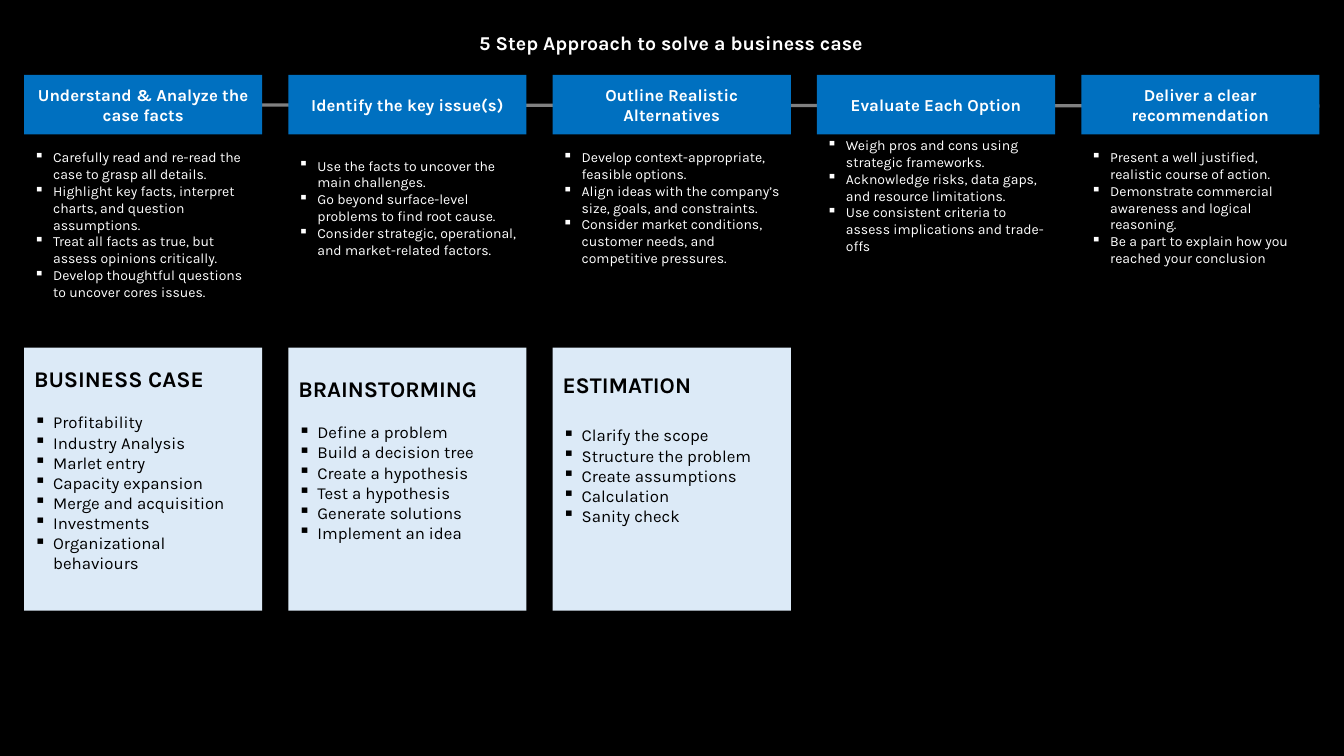
from lxml.etree import SubElement
from pptx import Presentation
from pptx.dml.color import RGBColor
from pptx.enum.shapes import MSO_CONNECTOR, MSO_SHAPE
from pptx.enum.text import MSO_ANCHOR, MSO_AUTO_SIZE, PP_ALIGN
from pptx.oxml.ns import qn
from pptx.util import Cm, Pt

TITLE = "5 Step Approach to solve a business case"
LEFT, PITCH, WIDTH = 0.61, 6.66, 6.0
STEP_TOP, STEP_HEIGHT, DETAIL_TOP = 1.89, 1.5, 3.63
CARD_TOP, CARD_HEIGHT = 8.76, 6.63
BLACK, WHITE, GREY, BLUE, PALE = "000000", "FFFFFF", "808080", "0070C0", "DCEAF7"

# heading, height of the detail text, details
STEPS = [
    ("Understand & Analyze the case facts", 4.06, [
        "Carefully read and re-read the case to grasp all details.",
        "Highlight key facts, interpret charts, and question assumptions.",
        "Treat all facts as true, but assess opinions critically.",
        "Develop thoughtful questions to uncover cores issues."]),
    ("Identify the key issue(s)", 3.2, [
        "Use the facts to uncover the main challenges.",
        "Go beyond surface-level problems to find root cause.",
        "Consider strategic, operational, and market-related factors."]),
    ("Outline Realistic Alternatives", 3.2, [
        "Develop context-appropriate, feasible options.",
        "Align ideas with the company’s size, goals, and constraints.",
        "Consider market conditions, customer needs, and competitive pressures."]),
    ("Evaluate Each Option", 2.59, [
        "Weigh pros and cons using strategic frameworks.",
        "Acknowledge risks, data gaps, and resource limitations.",
        "Use consistent criteria to assess implications and trade-offs"]),
    ("Deliver a clear recommendation", 3.2, [
        "Present a well justified, realistic course of action.",
        "Demonstrate commercial awareness and logical reasoning.",
        "Be a part to explain how you reached your conclusion"]),
]

# heading, top margin in cm, points below the heading, topics
CARDS = [
    ("BUSINESS CASE", 0.44, 14.4, [
        "Profitability", "Industry Analysis", "Marlet entry", "Capacity expansion",
        "Merge and acquisition", "Investments", "Organizational behaviours"]),
    ("BRAINSTORMING", 0.69, 14.4, [
        "Define a problem", "Build a decision tree", "Create a hypothesis",
        "Test a hypothesis", "Generate solutions", "Implement an idea"]),
    ("ESTIMATION", 0.6, 19.2, [
        "Clarify the scope", "Structure the problem", "Create assumptions",
        "Calculation", "Sanity check"]),
]


def color(value):
    return RGBColor.from_string(value)


def apply(target, formats):
    for name, value in formats.items():
        setattr(target, name, value)


def column_left(column):
    return Cm(LEFT + column * PITCH)


def set_frame(shape, **formats):
    apply(shape.text_frame, {"word_wrap": True, "auto_size": MSO_AUTO_SIZE.NONE,
                             "vertical_anchor": MSO_ANCHOR.MIDDLE, **formats})
    return shape.text_frame


def write(para, text, size, ink, bold=False, align=PP_ALIGN.LEFT):
    para.alignment = align
    span = para.add_run()
    span.text = text
    apply(span.font, {"name": "Karla", "size": Pt(size), "bold": bold})
    span.font.color.rgb = color(ink)


def write_bullets(paras, texts, size, ink):
    for para, text in zip(paras, texts):
        props = para._p.get_or_add_pPr()
        props.set("marL", str(Cm(0.48)))
        props.set("indent", str(-Cm(0.48)))
        SubElement(props, qn("a:buChar")).set("char", "▪")
        write(para, text, size, ink)


def add_paragraphs(frame, count):
    return [frame.add_paragraph() for _ in range(count)]


def add_panel(page, column, top, height, fill):
    panel = page.shapes.add_shape(MSO_SHAPE.RECTANGLE, column_left(column), Cm(top),
                                  Cm(WIDTH), Cm(height))
    panel.shadow.inherit = False
    panel.fill.solid()
    panel.fill.fore_color.rgb = color(fill)
    panel.line.fill.background()
    return panel


def add_title(page):
    title = page.shapes.title
    apply(title, {"left": Cm(8.15), "top": Cm(0.64), "width": Cm(17.53), "height": Cm(0.86)})
    frame = set_frame(title)
    write(frame.paragraphs[0], TITLE, 14, WHITE, True, PP_ALIGN.CENTER)


def add_step_line(page):
    right = column_left(len(STEPS) - 1) + Cm(WIDTH)
    line = page.shapes.add_connector(MSO_CONNECTOR.STRAIGHT, column_left(0), Cm(2.64),
                                     right, Cm(2.67))
    line.line.color.rgb = color(GREY)
    line.line.width = Pt(2.25)
    SubElement(line._element.spPr, qn("a:effectLst"))


def add_step(page, column, heading, height, details):
    frame = set_frame(add_panel(page, column, STEP_TOP, STEP_HEIGHT, BLUE))
    write(frame.paragraphs[0], heading, 12, WHITE, True, PP_ALIGN.CENTER)
    box = page.shapes.add_textbox(column_left(column), Cm(DETAIL_TOP), Cm(WIDTH), Cm(height))
    frame = set_frame(box)
    paras = [frame.paragraphs[0]] + add_paragraphs(frame, len(details) - 1)
    write_bullets(paras, details, 10, WHITE)


def add_card(page, column, heading, margin, gap, topics):
    panel = add_panel(page, column, CARD_TOP, CARD_HEIGHT, PALE)
    frame = set_frame(panel, vertical_anchor=MSO_ANCHOR.TOP, margin_top=Cm(margin))
    write(frame.paragraphs[0], heading, 16, BLACK, True)
    frame.paragraphs[0].space_after = Pt(gap)
    write_bullets(add_paragraphs(frame, len(topics)), topics, 12, BLACK)


def main():
    deck = Presentation()
    apply(deck, {"slide_width": Cm(33.87), "slide_height": Cm(19.05)})
    page = deck.slides.add_slide(deck.slide_layouts[5])
    page.background.fill.solid()
    page.background.fill.fore_color.rgb = color(BLACK)
    add_title(page)
    add_step_line(page)
    for column, step in enumerate(STEPS):
        add_step(page, column, *step)
    for column, card in enumerate(CARDS):
        add_card(page, column, *card)
    deck.save("out.pptx")


if __name__ == "__main__":
    main()
